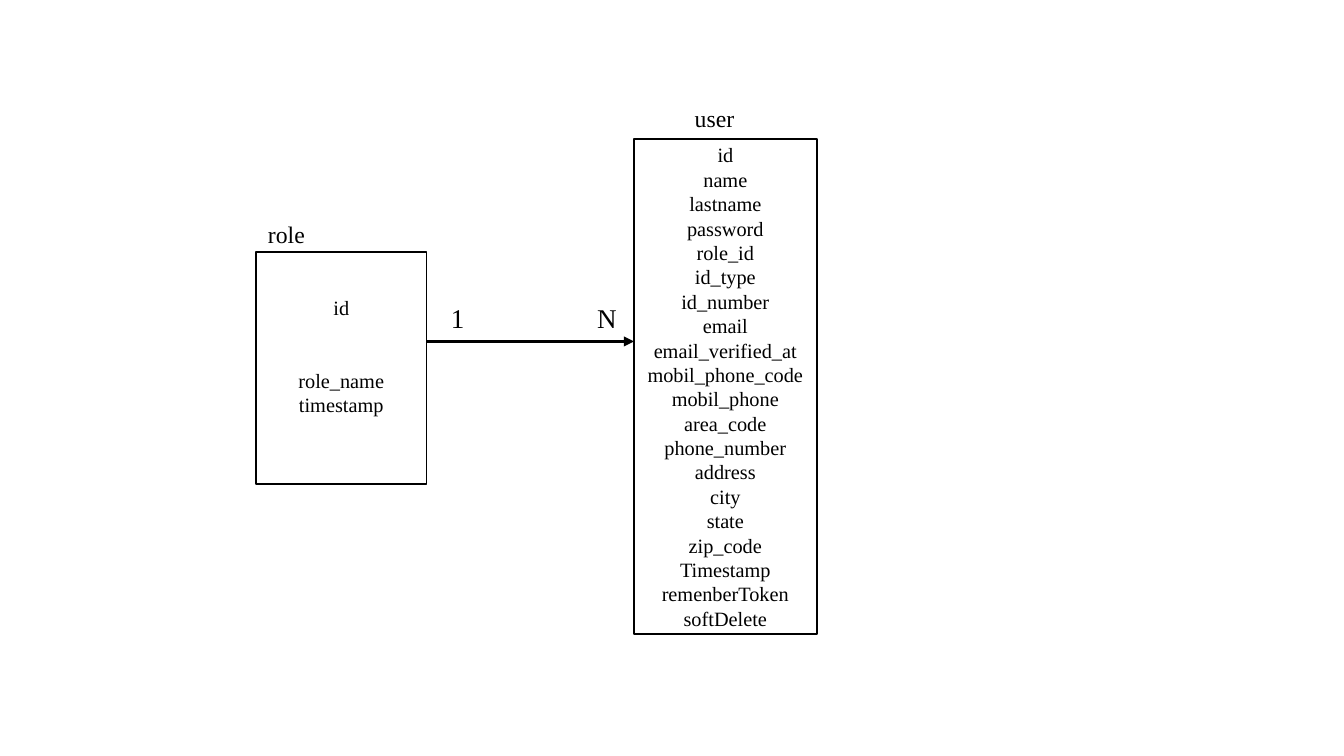
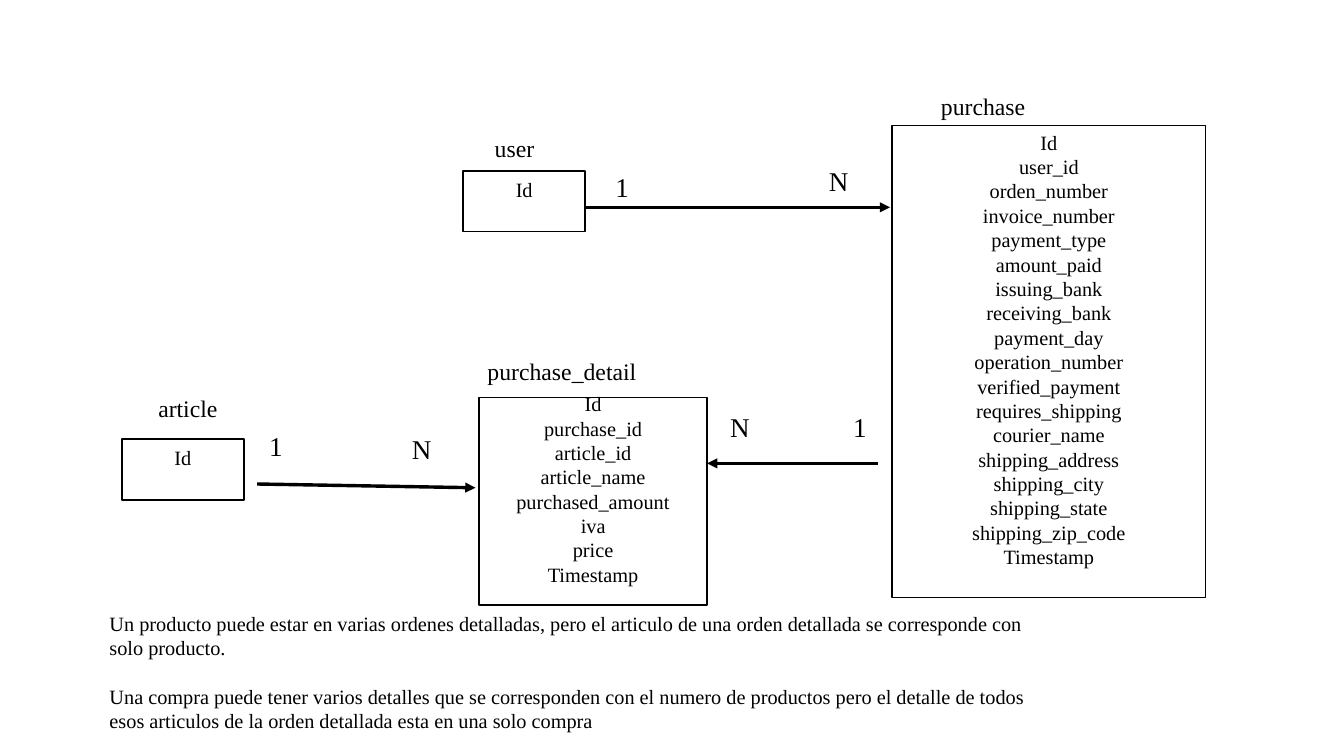
from lxml import etree
from pptx import Presentation
from pptx.dml.color import RGBColor
from pptx.enum.shapes import MSO_CONNECTOR, MSO_SHAPE
from pptx.enum.text import MSO_ANCHOR, MSO_AUTO_SIZE, PP_ALIGN
from pptx.oxml.ns import qn
from pptx.util import Pt

BLACK = RGBColor(0x00, 0x00, 0x00)
WHITE = RGBColor(0xFF, 0xFF, 0xFF)
RECTANGLE = MSO_SHAPE.RECTANGLE
STRAIGHT = MSO_CONNECTOR.STRAIGHT
MIDDLE, TOP = MSO_ANCHOR.MIDDLE, MSO_ANCHOR.TOP
GROW = MSO_AUTO_SIZE.SHAPE_TO_FIT_TEXT
CENTER, LEFT = PP_ALIGN.CENTER, PP_ALIGN.LEFT

FONT = "Times New Roman"
FIELD_SIZE, TITLE_SIZE, MARK_SIZE = 12, 14, 16
LINE = 14.4  # height of one line of fields

USER_FIELDS = [
    "id", "name", "lastname", "password", "role_id", "id_type", "id_number",
    "email", "email_verified_at", "mobil_phone_code", "mobil_phone",
    "area_code", "phone_number", "address", "city", "state", "zip_code",
    "Timestamp", "remenberToken", "softDelete",
]
PURCHASE_FIELDS = [
    "Id", "user_id", "orden_number", "invoice_number", "payment_type",
    "amount_paid", "issuing_bank", "receiving_bank", "payment_day",
    "operation_number", "verified_payment", "requires_shipping",
    "courier_name", "shipping_address", "shipping_city", "shipping_state",
    "shipping_zip_code", "Timestamp",
]
DETAIL_FIELDS = [
    "Id", "purchase_id", "article_id", "article_name", "purchased_amount",
    "iva", "price", "Timestamp",
]
NOTES = [
    "Un producto puede estar en varias ordenes detalladas, pero el articulo "
    "de una orden detallada se corresponde con solo producto.",
    "Una compra puede tener varios detalles que se corresponden con el numero "
    "de productos pero el detalle de todos esos articulos de la orden "
    "detallada esta en una solo compra",
]


def apply(target, values):
    for name, value in values.items():
        setattr(target, name, value)


class Diagram:
    """Entity diagram style and the slide being drawn."""

    def __init__(self):
        self.deck = Presentation()
        apply(self.deck, {"slide_width": Pt(793.7), "slide_height": Pt(446.4)})
        self.slide = None

    def new_slide(self):
        self.slide = self.deck.slides.add_slide(self.deck.slide_layouts[6])

    def put_lines(self, frame, lines, size, align=LEFT, gaps=None, pitch=None):
        """Fill a frame; gaps maps a line's index to the space before it."""
        for index, line in enumerate(lines):
            paragraph = frame.paragraphs[0] if index == 0 else frame.add_paragraph()
            apply(paragraph, {
                "alignment": align,
                "space_before": Pt((gaps or {}).get(index, 0)),
                "line_spacing": Pt(pitch) if pitch else None,
            })
            run = paragraph.add_run()
            run.text = line
            apply(run.font, {"name": FONT, "size": Pt(size)})
            run.font.color.rgb = BLACK

    def entity(self, left, top, width, height, fields, lift=0, gaps=None):
        """Box of fields; lift raises the text by half that many points."""
        box = self.slide.shapes.add_shape(
            RECTANGLE, Pt(left), Pt(top), Pt(width), Pt(height))
        box.shadow.inherit = False
        box.fill.solid()
        box.fill.fore_color.rgb = WHITE
        box.line.color.rgb = BLACK
        box.line.width = Pt(1)
        apply(box.text_frame, {
            "word_wrap": False, "vertical_anchor": MIDDLE,
            "margin_left": Pt(8), "margin_right": Pt(8),
            "margin_top": Pt(0), "margin_bottom": Pt(lift),
        })
        self.put_lines(box.text_frame, fields, FIELD_SIZE, CENTER, gaps, LINE)

    def text(self, left, top, width, height, lines, size, **layout):
        box = self.slide.shapes.add_textbox(
            Pt(left), Pt(top), Pt(width), Pt(height))
        apply(box.text_frame, {
            "word_wrap": True, "auto_size": GROW, "vertical_anchor": TOP,
            "margin_left": Pt(7.2), "margin_right": Pt(7.2),
            "margin_top": Pt(3.6), "margin_bottom": Pt(3.6),
        })
        self.put_lines(box.text_frame, lines, size, **layout)

    def title(self, left, top, width, name):
        self.text(left, top, width, 23, [name], TITLE_SIZE)

    def mark(self, left, top, symbol):
        self.text(left, top, 28.8, 27.4, [symbol], MARK_SIZE)

    def relation(self, x1, y1, x2, y2):
        arrow = self.slide.shapes.add_connector(
            STRAIGHT, Pt(x1), Pt(y1), Pt(x2), Pt(y2))
        arrow.line.color.rgb = BLACK
        arrow.line.width = Pt(0)
        properties = arrow.element.spPr
        etree.SubElement(properties.find(qn("a:ln")), qn("a:tailEnd"), type="triangle")
        etree.SubElement(properties, qn("a:effectLst"))


def role_slide(diagram):
    diagram.new_slide()
    # Entities
    diagram.entity(374.4, 82.1, 108, 292.3, USER_FIELDS)
    diagram.title(403.2, 57.6, 100.8, "user")
    diagram.entity(151.2, 149, 100.8, 136.8, ["id", "role_name", "timestamp"],
                   lift=LINE, gaps={1: 2 * LINE})
    diagram.title(151.2, 126, 100.8, "role")
    # One role, many users
    diagram.relation(252, 201.6, 374.4, 201.6)
    diagram.mark(345.6, 174.2, "N")
    diagram.mark(259.2, 174.2, "1")


def purchase_slide(diagram):
    diagram.new_slide()
    # Entities
    for left, top, width, height, fields in [
        (273.6, 100.8, 72, 36, ["Id"]),
        (72, 259.2, 72, 36, ["Id"]),
        (527, 74.2, 185, 278.6, PURCHASE_FIELDS),
        (283, 234.7, 134.6, 122.4, DETAIL_FIELDS),
    ]:
        diagram.entity(left, top, width, height, fields, lift=LINE)
    for left, top, width, name in [
        (285.1, 75.6, 53.3, "user"),
        (86.4, 229, 100.8, "article"),
        (548.6, 50.4, 149.8, "purchase"),
        (280.8, 207.4, 151.2, "purchase_detail"),
    ]:
        diagram.title(left, top, width, name)
    # Relations: user to purchase, article to detail, purchase to detail
    for ends in [
        (345.6, 122.4, 525.6, 122.4),
        (151.9, 285.8, 280.8, 288),
        (518.4, 273.6, 417.6, 273.6),
    ]:
        diagram.relation(*ends)
    for left, top, symbol in [
        (356.4, 97.2, "1"), (482.4, 93.6, "N"),
        (151.9, 249.8, "1"), (236.2, 252, "N"),
        (496.8, 239, "1"), (424.1, 239, "N"),
    ]:
        diagram.mark(left, top, symbol)
    # Explanation
    diagram.text(57.6, 357.1, 568.8, 79.2, NOTES, FIELD_SIZE,
                 gaps={1: LINE}, pitch=LINE)


def main():
    diagram = Diagram()
    role_slide(diagram)
    purchase_slide(diagram)
    diagram.deck.save("out.pptx")


if __name__ == "__main__":
    main()
